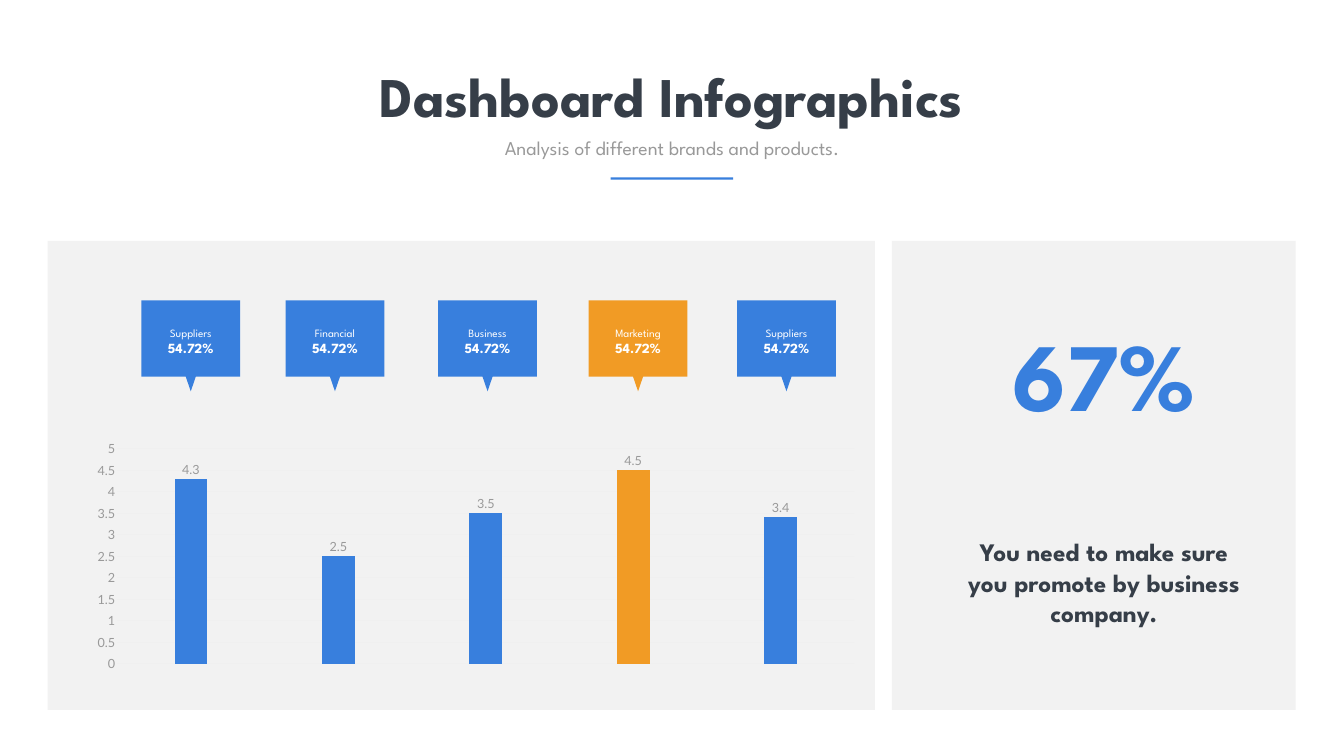
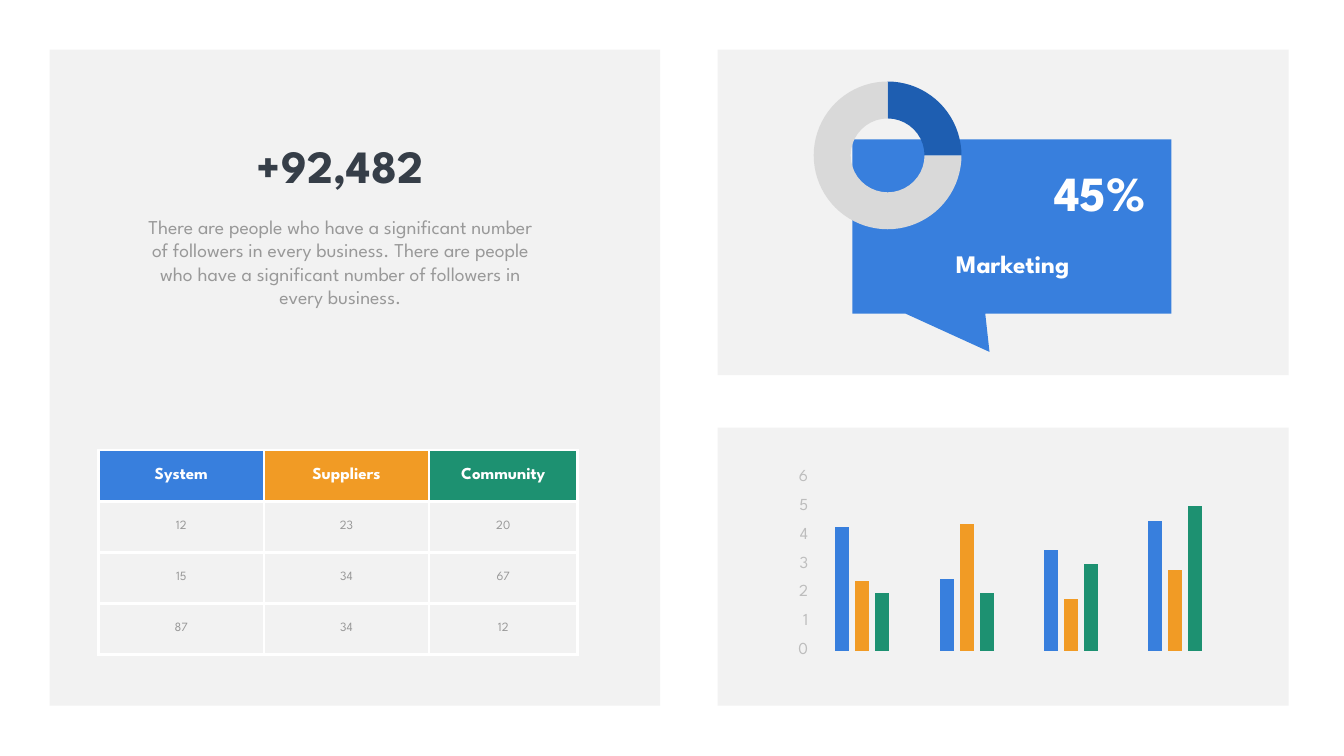
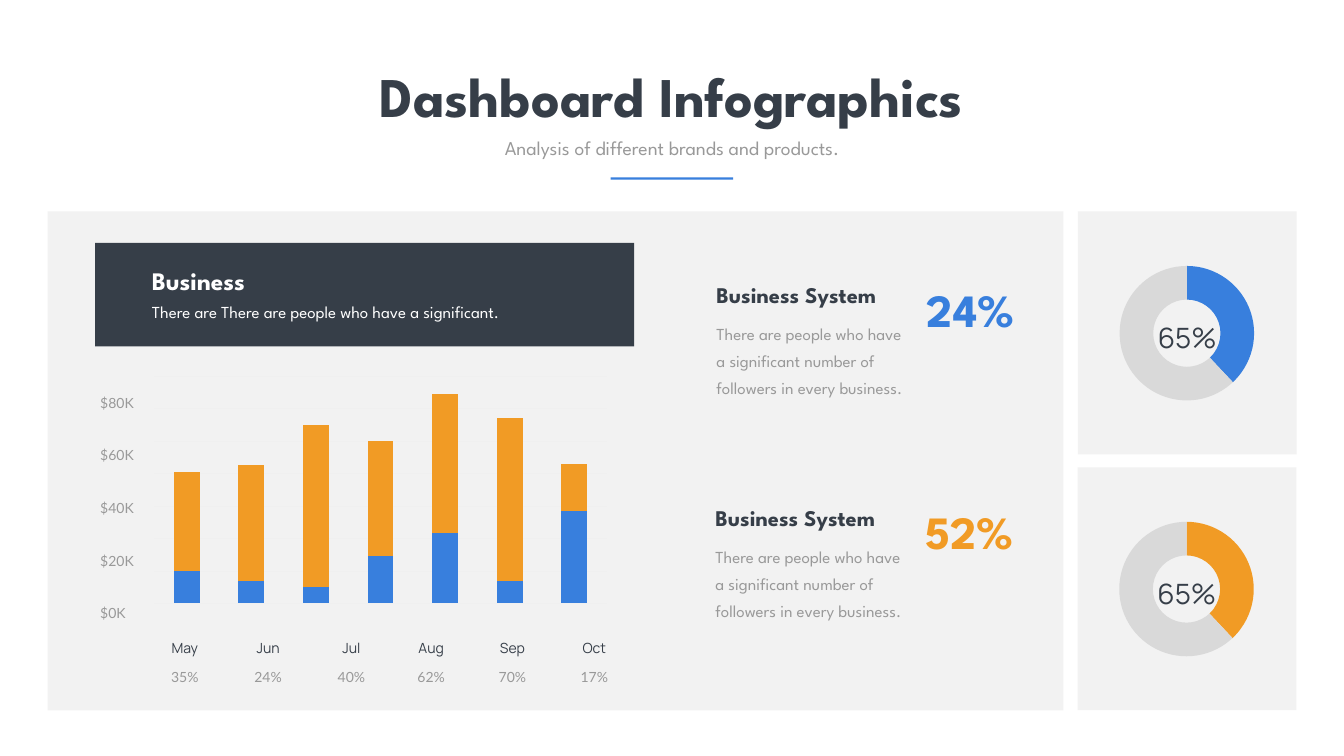
"""Build three dashboard infographic slides with cards, callouts, a table and charts."""
from lxml import etree
from pptx import Presentation
from pptx import util as u
from pptx.chart.data import CategoryChartData
from pptx.dml.color import RGBColor
from pptx.enum import chart as ch, dml, shapes, text
from pptx.oxml.ns import qn

BLUE, ORANGE, GREEN, NAVY = "387FDD", "F19B25", "1D9171", "1E5EB1"
DARK, GRAY, CARD, RING, WHITE = "363E48", "999999", "F2F2F2", "D9D9D9", "FFFFFF"
GRID, PALE = "F0F0F0", "BDBDBD"
SPARTAN, LATO, MANROPE, CALIBRI = "League Spartan", "Lato", "Manrope", "Calibri"
SHAPE, ALIGN, KIND = shapes.MSO_SHAPE, text.PP_ALIGN, ch.XL_CHART_TYPE

TITLE = "Dashboard Infographics"
SUBTITLE = "Analysis of different brands and products."
CALLOUTS = [
    (202, "Suppliers", BLUE),
    (408, "Financial", BLUE),
    (626, "Business", BLUE),
    (841, "Marketing", ORANGE),
    (1053, "Suppliers", BLUE),
]
CALLOUT_VALUE = "54.72%"
SHARES = [4.3, 2.5, 3.5, 4.5, 3.4]
FOLLOWERS = "There are people who have a significant number of followers in every business."
TABLE = [
    ("System", "Suppliers", "Community"),
    ("12", "23", "20"),
    ("15", "34", "67"),
    ("87", "34", "12"),
]
TABLE_COLORS = [BLUE, ORANGE, GREEN]
TABLE_WIDTHS, TABLE_ROW = [236, 236, 212], 73
GROUPED = [
    ([4.3, 2.5, 3.5, 4.5], BLUE),
    ([2.4, 4.4, 1.8, 2.8], ORANGE),
    ([2, 2, 3, 5], GREEN),
]
STACKED = [
    ([20, 14, 10, 29, 43, 14, 57], BLUE),
    ([61, 71, 100, 71, 86, 100, 29], ORANGE),
]
SCALE = ["$80K", "$60K", "$40K", "$20K", "$0K"]
MONTHS = [
    (230, "May", "35%"),
    (349, "Jun", "24%"),
    (468, "Jul", "40%"),
    (582, "Aug", "62%"),
    (698, "Sep", "70%"),
    (815, "Oct", "17%"),
]
SYSTEMS = [(1016.5, 398, "24%", BLUE), (1015, 716, "52%", ORANGE)]
RINGS = [(1540, 302, BLUE), (1539.5, 667.5, ORANGE)]


def rgb(color):
    return RGBColor.from_string(color)


def pts(box):
    return [u.Pt(v) for v in box]


def set_font(font, size, color, name=SPARTAN, bold=False):
    values = {"size": u.Pt(size), "name": name, "bold": bold}
    for key, value in values.items():
        setattr(font, key, value)
    font.color.rgb = rgb(color)


def add_block(s, box, color, kind=SHAPE.RECTANGLE, rotation=0, adjust=()):
    sp = s.shapes.add_shape(kind, *pts(box))
    sp.shadow.inherit = False
    sp.fill.solid()
    sp.fill.fore_color.rgb = rgb(color)
    sp.line.fill.background()
    sp.rotation = rotation
    for i, value in enumerate(adjust):
        sp.adjustments[i] = value


def add_text(s, box, content, size, color, font=SPARTAN, bold=False,
             align=ALIGN.CENTER, spacing=None, wrap=True):
    tf = s.shapes.add_textbox(*pts(box)).text_frame
    tf.word_wrap = wrap
    tf.auto_size = text.MSO_AUTO_SIZE.SHAPE_TO_FIT_TEXT
    p = tf.paragraphs[0]
    p.alignment = align
    if spacing:
        p.line_spacing = u.Pt(spacing)
    r = p.add_run()
    r.text = content
    set_font(r.font, size, color, font, bold)


def add_header(s):
    add_text(s, (482, 84, 955, 104), TITLE, 80, DARK, bold=True, wrap=False)
    add_text(s, (616, 191, 688, 41), SUBTITLE, 28, GRAY)
    add_block(s, (872.5, 253.5, 175, 3), BLUE)


def add_chart(s, kind, box, series, size, font):
    data = CategoryChartData()
    data.categories = [str(i + 1) for i in range(len(series[0]))]
    for i, values in enumerate(series, 1):
        data.add_series(f"Series {i}", values)
    chart = s.shapes.add_chart(kind, *pts(box), data).chart
    chart.has_legend = chart.has_title = False
    set_font(chart.font, size, GRAY, font)
    return chart


def paint(item, color):
    item.format.fill.solid()
    item.format.fill.fore_color.rgb = rgb(color)
    item.format.line.fill.background()


def add_columns(s, kind, box, series, size, font, gap, overlap, top, unit, grid, label=GRAY):
    chart = add_chart(s, kind, box, [values for values, _ in series], size, font)
    plot = chart.plots[0]
    for key, value in {"gap_width": gap, "overlap": overlap, "vary_by_categories": False}.items():
        setattr(plot, key, value)
    for item, (_, color) in zip(plot.series, series):
        paint(item, color)
        item.invert_if_negative = False
    chart.category_axis.visible = False
    axis = chart.value_axis
    values = {"minimum_scale": 0, "maximum_scale": top, "major_unit": unit,
              "has_major_gridlines": True, "major_tick_mark": ch.XL_TICK_MARK.NONE}
    for key, value in values.items():
        setattr(axis, key, value)
    axis.format.line.fill.background()
    line = axis.major_gridlines.format.line
    line.color.rgb = rgb(grid)
    line.width = u.Pt(0.75)
    set_font(axis.tick_labels.font, size, label, font)
    return chart


def add_ring(s, box, values, colors, hole):
    chart = add_chart(s, KIND.DOUGHNUT, box, [values], 10, CALIBRI)
    plot = chart.plots[0]
    plot.vary_by_categories = True
    for i, color in enumerate(colors):
        paint(plot.series[0].points[i], color)
    chart._chartSpace.find(".//" + qn("c:holeSize")).set("val", str(hole))


def set_plot_area(chart, **place):
    area = chart._chartSpace.chart.plotArea
    layout = area.find(qn("c:layout"))
    if layout is None:
        layout = etree.Element(qn("c:layout"))
        area.insert(0, layout)
    manual = etree.SubElement(layout, qn("c:manualLayout"))
    parts = {"layoutTarget": "inner", "xMode": "edge", "yMode": "edge", **place}
    for key, value in parts.items():
        etree.SubElement(manual, qn("c:" + key)).set("val", str(value))


def add_borders(cell, color, width):
    props = cell._tc.get_or_add_tcPr()
    for side in ("lnL", "lnR", "lnT", "lnB"):
        line = etree.SubElement(props, qn("a:" + side), w=str(u.Pt(width)))
        fill = etree.SubElement(line, qn("a:solidFill"))
        etree.SubElement(fill, qn("a:srgbClr"), val=color)


def add_table(s, left, top):
    box = (left, top, sum(TABLE_WIDTHS), TABLE_ROW * len(TABLE))
    table = s.shapes.add_table(len(TABLE), len(TABLE[0]), *pts(box)).table
    table.first_row = table.horz_banding = False
    for column, width in zip(table.columns, TABLE_WIDTHS):
        column.width = u.Pt(width)
    for i, row in enumerate(TABLE):
        head = i == 0
        for j, value in enumerate(row):
            cell = table.cell(i, j)
            add_borders(cell, WHITE, 4.5)
            cell.fill.solid()
            cell.fill.fore_color.rgb = rgb(TABLE_COLORS[j] if head else CARD)
            cell.vertical_anchor = text.MSO_ANCHOR.MIDDLE
            p = cell.text_frame.paragraphs[0]
            p.alignment = ALIGN.CENTER
            r = p.add_run()
            r.text = value
            set_font(r.font, 24 if head else 18, WHITE if head else GRAY, bold=head)


def build_suppliers(s):
    add_header(s)
    for box in ((68, 344, 1182, 670), (1274, 344, 577, 670)):
        add_block(s, box, CARD)
    chart = add_columns(s, KIND.COLUMN_CLUSTERED, (117, 623, 1126, 343), [(SHARES, BLUE)],
                        18, LATO, 350, -27, 5, 0.5, GRID)
    series = chart.plots[0].series[0]
    for i, (_, _, color) in enumerate(CALLOUTS):
        if color != BLUE:
            paint(series.points[i], color)
    labels = series.data_labels
    labels.show_value = True
    labels.position = ch.XL_LABEL_POSITION.OUTSIDE_END
    set_font(labels.font, 18, GRAY, LATO)
    for left, name, color in CALLOUTS:
        add_block(s, (left, 429, 141, 109), color)
        add_block(s, (left + 58.5, 524, 24, 35), color, SHAPE.ISOSCELES_TRIANGLE, 180)
        add_text(s, (left, 441, 141, 42), name, 16, WHITE, spacing=40.8)
        add_text(s, (left + 25.5, 482, 90, 32), CALLOUT_VALUE, 20, WHITE, bold=True)
    add_text(s, (1374, 763, 406, 138), "You need to make sure you promote by business company.",
             36, DARK, bold=True)
    add_text(s, (1432, 446, 290, 174), "67%", 138, BLUE, bold=True, wrap=False)


def build_marketing(s):
    for box in ((1025, 71, 816, 465), (1025, 611, 816, 397), (71, 71, 872, 937)):
        add_block(s, box, CARD)
    add_block(s, (1217.5, 199, 456, 249), BLUE, SHAPE.RECTANGULAR_CALLOUT, adjust=(-0.07, 0.72))
    add_text(s, (1289.5, 351, 314, 51), "Marketing", 36, WHITE, bold=True)
    add_text(s, (1440, 229, 203, 92), "45%", 70, WHITE, bold=True, align=ALIGN.RIGHT)
    add_ring(s, (1149, 106.5, 238, 231), [25, 75], [NAVY, RING], 50)
    add_table(s, 141, 643)
    add_text(s, (193, 303, 586, 177), f"{FOLLOWERS} {FOLLOWERS}", 28, GRAY)
    add_text(s, (356, 193, 260, 87), "+92,482", 66, DARK, bold=True, wrap=False)
    chart = add_columns(s, KIND.COLUMN_CLUSTERED, (1110, 627, 677.5, 369), GROUPED,
                        24, SPARTAN, 350, -40, 6, 1, CARD, PALE)
    chart.value_axis.major_gridlines.format.line.dash_style = dml.MSO_LINE.LONG_DASH
    set_plot_area(chart, x=0.07, y=0.15, w=0.88, h=0.67)


def build_business(s):
    add_block(s, (68, 302, 1451, 713), CARD)
    add_header(s)
    for i, label in enumerate(SCALE):
        add_text(s, (136, 543 + 75.2 * i, 68, 40), label, 20, GRAY, LATO,
                 align=ALIGN.LEFT, spacing=40.8)
    for left, month, share in MONTHS:
        add_text(s, (left, 893, 68, 40), month, 20, DARK, MANROPE, spacing=40.8)
        add_text(s, (left, 935, 68, 39), share, 20, GRAY, LATO, spacing=40.8)
    add_block(s, (136, 347, 770, 148), DARK, SHAPE.ROUNDED_RECTANGLE, adjust=(0,))
    add_text(s, (210, 376, 397, 51), "Business", 36, WHITE, bold=True, align=ALIGN.LEFT)
    add_text(s, (210, 427, 624, 36), "There are There are people who have a significant.",
             24, WHITE, align=ALIGN.LEFT)
    for left, top, share, color in SYSTEMS:
        add_text(s, (left + 300.5, top, 166, 87), share, 66, color, bold=True, align=ALIGN.LEFT)
        add_text(s, (left, top + 51, 280, 161), FOLLOWERS, 24, GRAY,
                 align=ALIGN.LEFT, spacing=38.6)
        add_text(s, (left, top + 0.5, 261, 46), "Business System", 32, DARK,
                 bold=True, align=ALIGN.LEFT)
    for left, top, color in RINGS:
        add_block(s, (left, top, 312.5, 347), CARD)
        add_ring(s, (left - 4, top + 68, 319, 212), [38, 62], [color, RING], 75)
        add_text(s, (left + 95.5, top + 152, 121, 55), "65%", 40, DARK, MANROPE)
    chart = add_columns(s, KIND.COLUMN_STACKED, (207, 523, 673, 346), STACKED,
                        10, CALIBRI, 150, 100, 143, 20, GRID)
    chart.value_axis.visible = False


def main():
    prs = Presentation()
    prs.slide_width, prs.slide_height = u.Pt(1920), u.Pt(1080)
    for build in (build_suppliers, build_marketing, build_business):
        build(prs.slides.add_slide(prs.slide_layouts[6]))
    prs.save("out.pptx")


if __name__ == "__main__":
    main()
